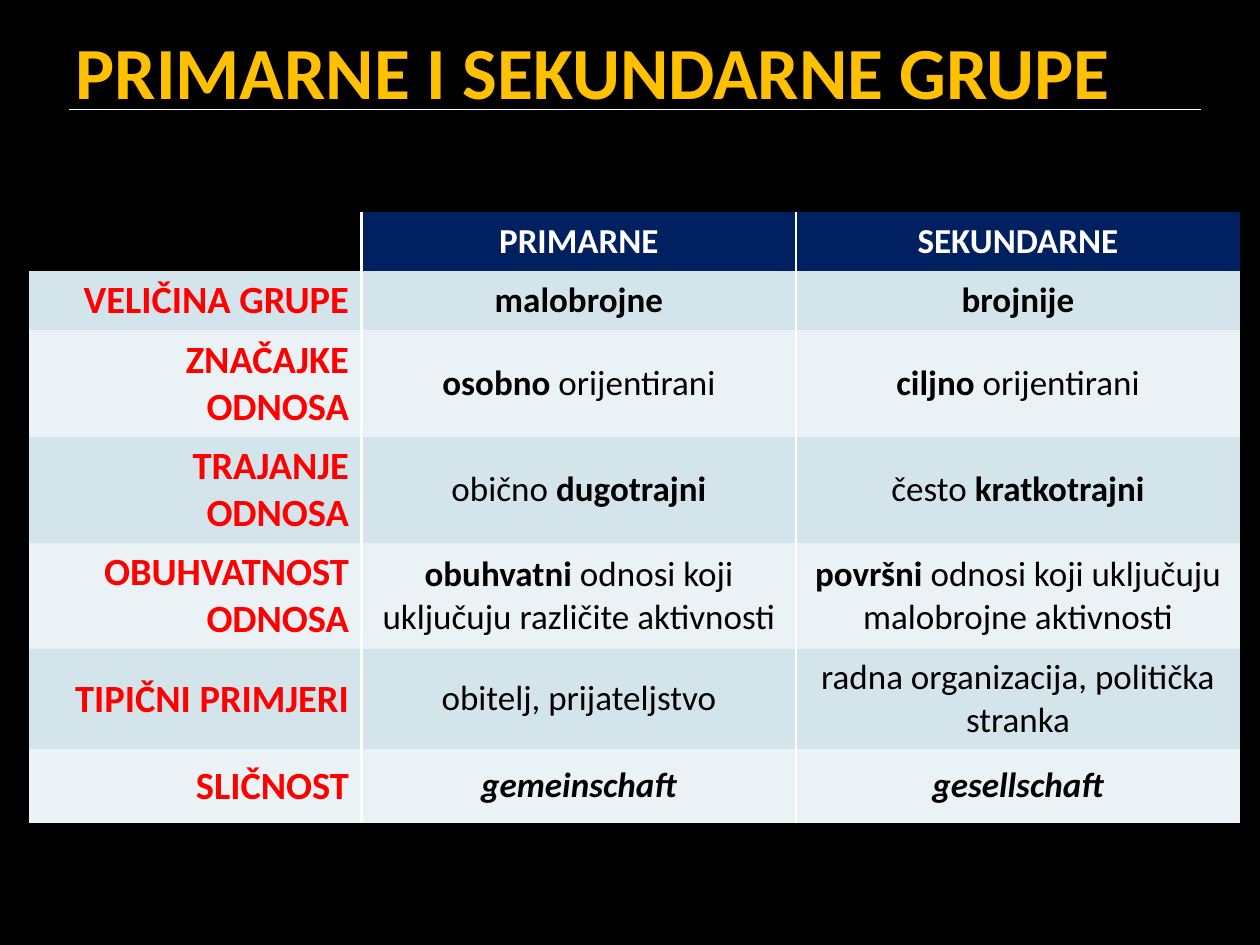
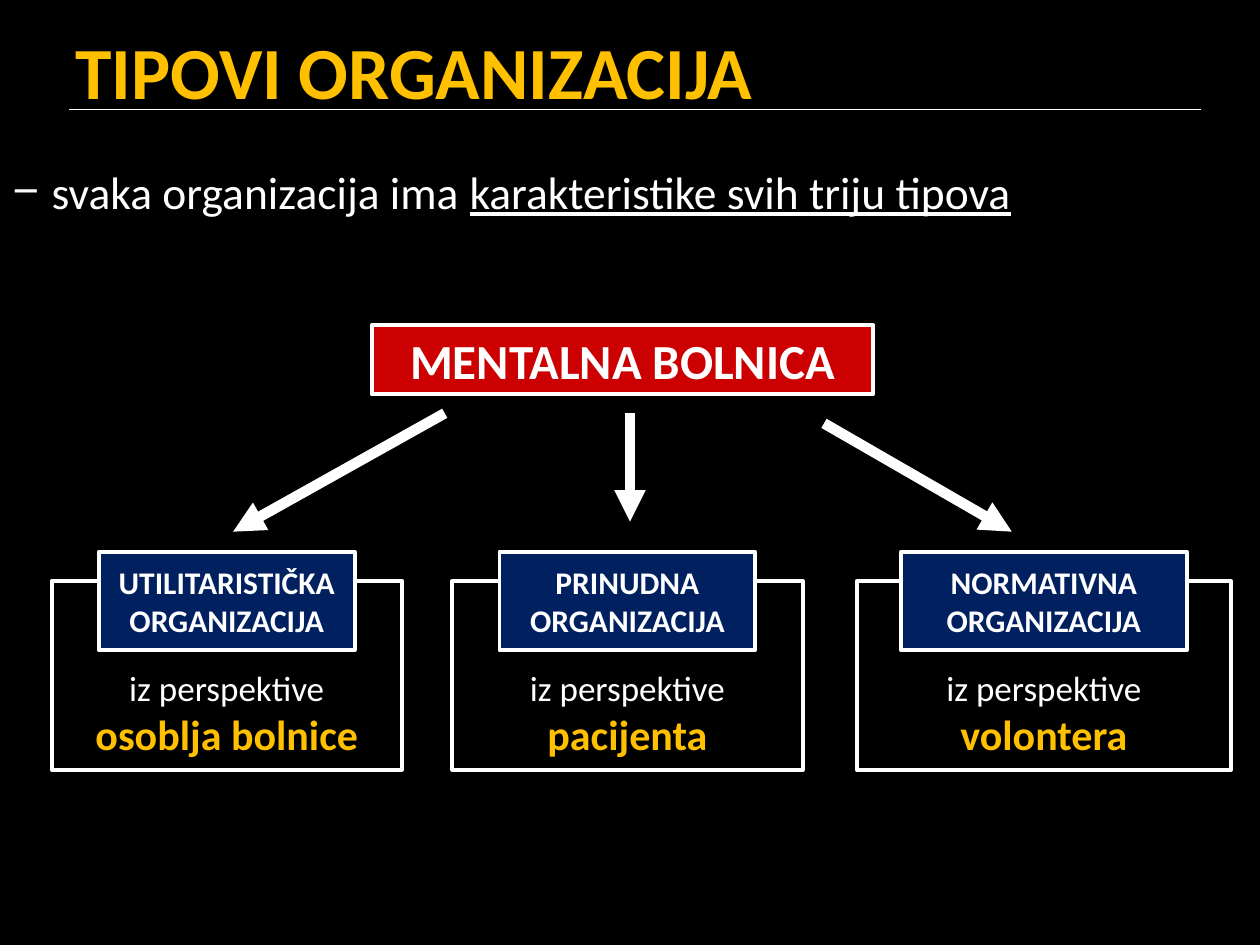
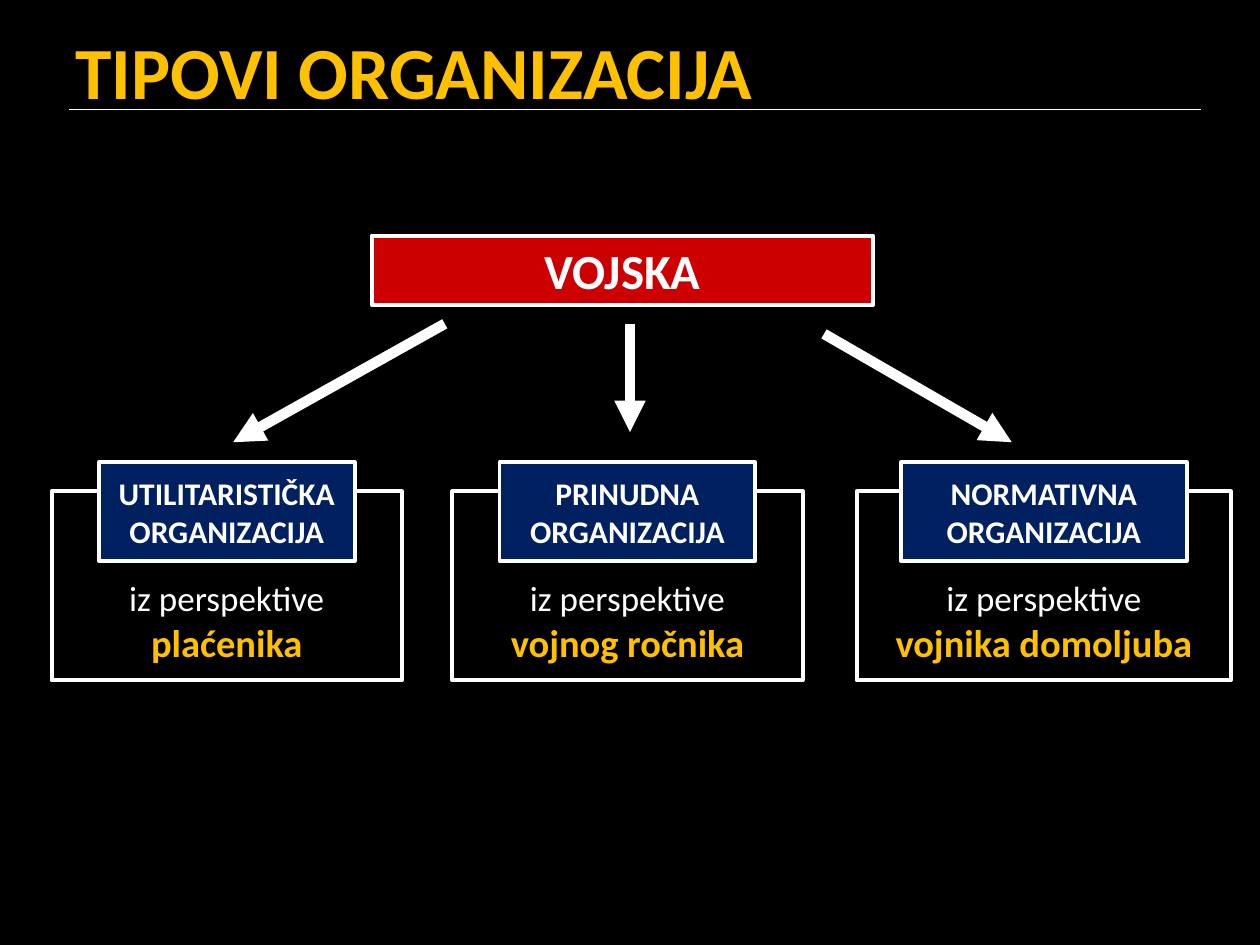
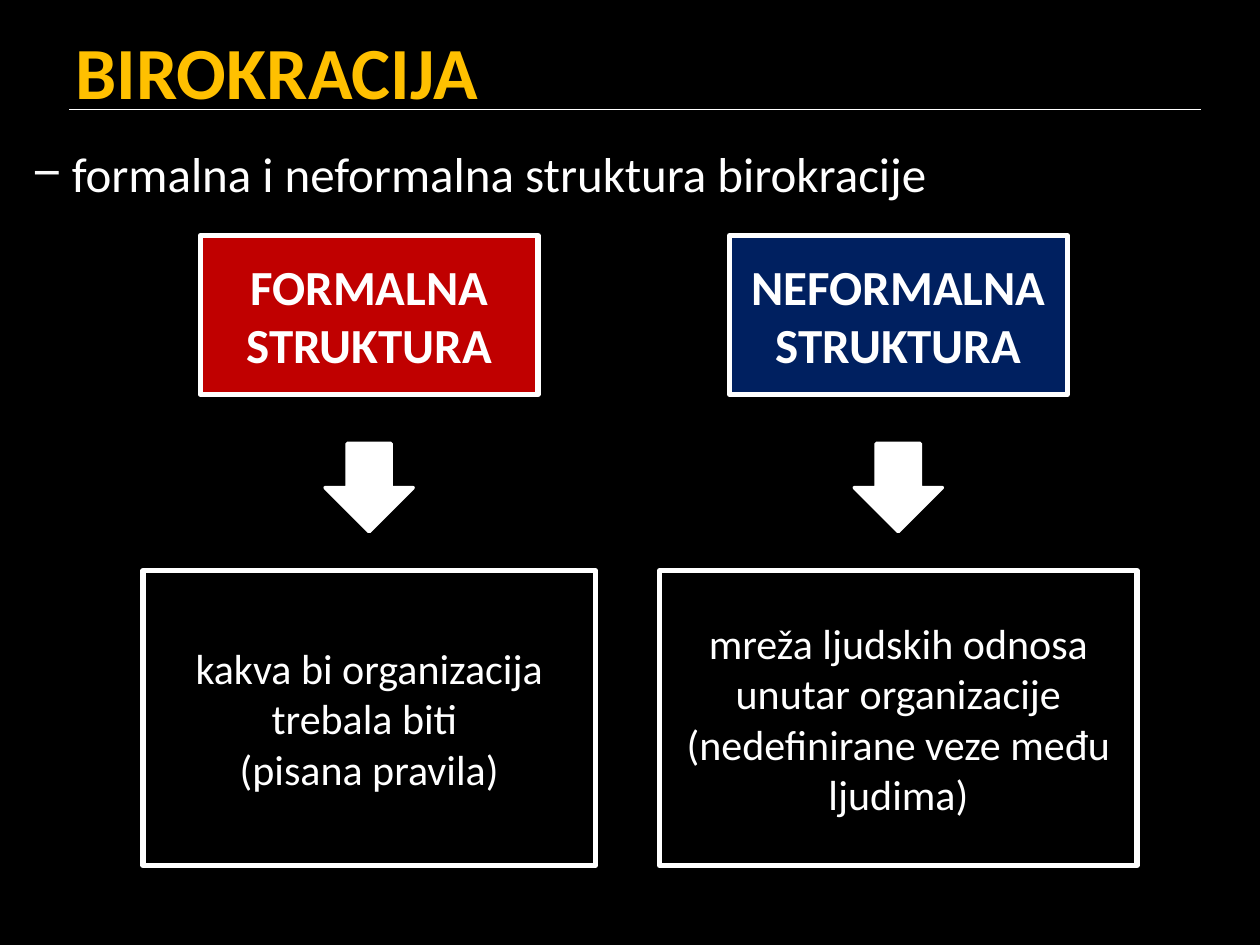
"""Build four slides on social groups, organisation types and bureaucracy."""
from lxml.etree import SubElement
from pptx import Presentation
from pptx.dml.color import RGBColor
from pptx.enum.shapes import MSO_CONNECTOR, MSO_SHAPE
from pptx.enum.text import MSO_ANCHOR, MSO_AUTO_SIZE, PP_ALIGN
from pptx.oxml.ns import qn
from pptx.util import Inches, Pt

FONT = "Calibri"
BLACK, WHITE, GOLD = "000000", "FFFFFF", "FFC000"
NAVY, RED, DARK_RED, LABEL_RED = "002060", "CC0000", "C00000", "FF0000"
BULLET_COLOR = "F9F9F9"
BANDS = ("D4E4EB", "EBF2F5")
TITLE_ONLY, TITLE_AND_CONTENT = 5, 1
NO_GRID_STYLE = "{2D5ABB26-0587-4C30-8999-92F81FD0307C}"

COLUMN_WIDTHS = (2.64, 3.45, 3.52)
ROW_HEIGHTS = (0.47, 0.47, 0.84, 0.84, 0.84, 0.79, 0.59)
GROUP_ROWS = (
    ("VELIČINA GRUPE", [("malobrojne", "b")], [("brojnije", "b")]),
    ("ZNAČAJKE ODNOSA", [("osobno", "b"), (" orijentirani", "")],
     [("ciljno", "b"), (" orijentirani", "")]),
    ("TRAJANJE ODNOSA", [("obično ", ""), ("dugotrajni", "b")],
     [("često ", ""), ("kratkotrajni", "b")]),
    ("OBUHVATNOST ODNOSA",
     [("obuhvatni", "b"), (" odnosi koji uključuju različite aktivnosti", "")],
     [("površni", "b"), (" odnosi koji uključuju malobrojne aktivnosti", "")]),
    ("TIPIČNI PRIMJERI", [("obitelj, prijateljstvo", "")],
     [("radna organizacija, politička stranka", "")]),
    ("SLIČNOST", [("gemeinschaft", "bi")], [("gesellschaft", "bi")]),
)
ORGANIZATION_TYPES = (
    ("UTILITARISTIČKA ORGANIZACIJA", 0.41, 2.78, 2.03),
    ("PRINUDNA ORGANIZACIJA", 3.59, 2.78, 2.03),
    ("NORMATIVNA ORGANIZACIJA", 6.8, 2.97, 2.27),
)
TYPE_ARROWS = ((3.53, 0.7, 1.85, 1.64), (5, 0.7, 5, 1.56), (6.54, 0.78, 8.03, 1.64))
STRUCTURES = (
    ("FORMALNA STRUKTURA", DARK_RED, 2.93, 3.59,
     "kakva bi organizacija trebala biti \v(pisana pravila)"),
    ("NEFORMALNA STRUKTURA", NAVY, 7.13, 3.79,
     "mreža ljudskih odnosa unutar organizacije (nedefinirane veze među ljudima)"),
)


def color(hex_value):
    """Turn a hex string into a colour."""
    return RGBColor.from_string(hex_value)


def format_run(run, size, hex_value, style=""):
    """Format a run; style may hold b, i and u."""
    font = run.font
    font.name, font.size = FONT, Pt(size)
    font.color.rgb = color(hex_value)
    font.bold, font.italic, font.underline = "b" in style, "i" in style, "u" in style


def write_runs(paragraph, pieces, size, hex_value):
    """Fill a paragraph with (text, style) pieces."""
    for text, style in pieces:
        run = paragraph.add_run()
        run.text = text
        format_run(run, size, hex_value, style)


def place(shape, left, top, width, height):
    """Move and size a shape, in inches."""
    shape.left, shape.top = Inches(left), Inches(top)
    shape.width, shape.height = Inches(width), Inches(height)


def add_line(slide, start_x, start_y, end_x, end_y, width, arrow=False):
    """Draw a white straight line, with an arrowhead at its end if asked."""
    connector = slide.shapes.add_connector(
        MSO_CONNECTOR.STRAIGHT, Inches(start_x), Inches(start_y), Inches(end_x), Inches(end_y))
    connector.line.color.rgb = color(WHITE)
    connector.line.width = Pt(width)
    if arrow:
        SubElement(connector.line._get_or_add_ln(), qn("a:tailEnd"), type="triangle")
    SubElement(connector._element.spPr, qn("a:effectLst"))


def add_titled_slide(presentation, layout, title):
    """Add a slide with the shared title and the rule under it."""
    slide = presentation.slides.add_slide(presentation.slide_layouts[layout])
    add_line(slide, 0.55, 0.87, 9.53, 0.87, 1)
    shape = slide.shapes.title
    place(shape, 0.5, 0.08, 9.11, 0.95)
    text_frame = shape.text_frame
    text_frame.text = title
    text_frame.vertical_anchor = MSO_ANCHOR.MIDDLE
    text_frame.auto_size = MSO_AUTO_SIZE.NONE
    paragraph = text_frame.paragraphs[0]
    paragraph.alignment = PP_ALIGN.LEFT
    format_run(paragraph.runs[0], 42, GOLD, "b")
    return slide


def fill_body(slide, bounds, pieces, size):
    """Write one dashed point in the body placeholder."""
    body = slide.placeholders[1]
    place(body, *bounds)
    body.text_frame.auto_size = MSO_AUTO_SIZE.NONE
    paragraph = body.text_frame.paragraphs[0]
    properties = paragraph._p.get_or_add_pPr()
    properties.set("marL", str(Inches(0.31)))
    properties.set("indent", str(Inches(-0.31)))
    bullet_color = SubElement(properties, qn("a:buClr"))
    SubElement(bullet_color, qn("a:srgbClr"), val=BULLET_COLOR)
    SubElement(properties, qn("a:buChar"), char="−")
    paragraph.space_before = Pt(0)
    write_runs(paragraph, pieces, size, WHITE)


def add_box(slide, bounds, fill, line_width, text="", size=18, style="", kind=MSO_SHAPE.RECTANGLE):
    """Add a white-edged shape with centred white text."""
    shape = slide.shapes.add_shape(kind, *map(Inches, bounds))
    shape.shadow.inherit = False
    if fill:
        shape.fill.solid()
        shape.fill.fore_color.rgb = color(fill)
    else:
        shape.fill.background()
    shape.line.color.rgb = color(WHITE)
    shape.line.width = Pt(line_width)
    if text:
        shape.text_frame.text = text
        paragraph = shape.text_frame.paragraphs[0]
        paragraph.alignment = PP_ALIGN.CENTER
        for run in paragraph.runs:
            format_run(run, size, WHITE, style)


def add_perspective(slide, bounds, role, role_size):
    """Add the text that says whose perspective a type reflects."""
    text_frame = slide.shapes.add_textbox(*map(Inches, bounds)).text_frame
    text_frame.word_wrap = True
    text_frame.auto_size = MSO_AUTO_SIZE.SHAPE_TO_FIT_TEXT
    paragraph = text_frame.paragraphs[0]
    paragraph.text = f"iz perspektive\v{role}"
    paragraph.alignment = PP_ALIGN.CENTER
    lead, role_run = paragraph.runs
    format_run(lead, 20, WHITE)
    format_run(role_run, role_size, GOLD, "b")


def add_organization_diagram(slide, top, name, roles, role_size):
    """Draw an organisation with arrows to its three types."""
    add_box(slide, (2.95, top, 3.98, 0.55), RED, 2.25, name, 28, "b")
    for (label, left, width, label_width), role in zip(ORGANIZATION_TYPES, roles):
        label_left = left + (width - label_width) / 2
        add_box(slide, (left, top + 2.03, width, 1.5), None, 2.25)
        add_box(slide, (label_left, top + 1.8, label_width, 0.78), NAVY, 2.25, label, 18, "b")
        add_perspective(slide, (left, top + 2.66, width, 0.82), role, role_size)
    for start_x, start_y, end_x, end_y in TYPE_ARROWS:
        add_line(slide, start_x, top + start_y, end_x, top + end_y, 6, arrow=True)


def add_cell_border(cell, side):
    """Give one side of a cell a white border."""
    border = SubElement(cell._tc.get_or_add_tcPr(), qn(f"a:{side}"), w=str(Pt(1.5)))
    fill = SubElement(border, qn("a:solidFill"))
    SubElement(fill, qn("a:srgbClr"), val=WHITE)


def fill_cell(cell, pieces, fill, size, hex_value, alignment=PP_ALIGN.CENTER):
    """Write and colour a table cell."""
    cell.vertical_anchor = MSO_ANCHOR.MIDDLE
    cell.fill.solid()
    cell.fill.fore_color.rgb = color(fill)
    paragraph = cell.text_frame.paragraphs[0]
    paragraph.alignment = alignment
    write_runs(paragraph, pieces, size, hex_value)


def add_group_table(slide):
    """Add the table comparing primary and secondary groups."""
    table = slide.shapes.add_table(
        len(ROW_HEIGHTS), len(COLUMN_WIDTHS), Inches(0.23), Inches(1.68),
        Inches(sum(COLUMN_WIDTHS)), Inches(sum(ROW_HEIGHTS))).table
    table._tbl.tblPr.find(qn("a:tableStyleId")).text = NO_GRID_STYLE
    for column, width in zip(table.columns, COLUMN_WIDTHS):
        column.width = Inches(width)
    for row, height in zip(table.rows, ROW_HEIGHTS):
        row.height = Inches(height)
        for left_cell, right_cell in zip(list(row.cells), list(row.cells)[1:]):
            add_cell_border(right_cell, "lnL")
        for cell in list(row.cells)[:-1]:
            add_cell_border(cell, "lnR")
    table.cell(0, 0).fill.background()
    for column, heading in enumerate(("PRIMARNE", "SEKUNDARNE"), 1):
        fill_cell(table.cell(0, column), [(heading, "b")], NAVY, 20, WHITE)
    for row, (label, primary, secondary) in enumerate(GROUP_ROWS, 1):
        band = BANDS[(row - 1) % 2]
        label_cell = table.cell(row, 0)
        label_cell.margin_left = Inches(0.3)
        fill_cell(label_cell, [(label, "b")], band, 22, LABEL_RED, PP_ALIGN.RIGHT)
        fill_cell(table.cell(row, 1), primary, band, 20, BLACK)
        fill_cell(table.cell(row, 2), secondary, band, 20, BLACK)


def add_structure(slide, heading, fill, center, detail_width, detail):
    """Add a heading, a down arrow and a detail box on one centre line."""
    add_box(slide, (center - 1.34, 1.87, 2.68, 1.26), fill, 3, heading, 28, "b")
    add_box(slide, (center - 0.35, 3.52, 0.7, 0.7), WHITE, 2, kind=MSO_SHAPE.DOWN_ARROW)
    add_box(slide, (center - detail_width / 2, 4.53, detail_width, 2.34), None, 3, detail, 24)


def main():
    """Build and save the presentation."""
    presentation = Presentation()
    presentation.slide_width, presentation.slide_height = Inches(10), Inches(7.5)
    background = presentation.slide_master.background.fill
    background.solid()
    background.fore_color.rgb = color(BLACK)

    slide = add_titled_slide(presentation, TITLE_ONLY, "PRIMARNE I SEKUNDARNE GRUPE")
    add_group_table(slide)

    slide = add_titled_slide(presentation, TITLE_AND_CONTENT, "TIPOVI ORGANIZACIJA")
    fill_body(slide, (0, 1.25, 10, 0.86),
              [("svaka organizacija ima ", ""), ("karakteristike svih triju tipova", "u")], 26)
    add_organization_diagram(slide, 2.58, "MENTALNA BOLNICA",
                             ("osoblja bolnice", "pacijenta", "volontera"), 24)

    slide = add_titled_slide(presentation, TITLE_ONLY, "TIPOVI ORGANIZACIJA")
    add_organization_diagram(slide, 1.87, "VOJSKA",
                             ("plaćenika", "vojnog ročnika", "vojnika domoljuba"), 22)

    slide = add_titled_slide(presentation, TITLE_AND_CONTENT, "BIROKRACIJA")
    fill_body(slide, (0.16, 1.09, 9.84, 6.25),
              [("formalna i neformalna struktura birokracije", "")], 28)
    for structure in STRUCTURES:
        add_structure(slide, *structure)

    presentation.save("out.pptx")


if __name__ == "__main__":
    main()
